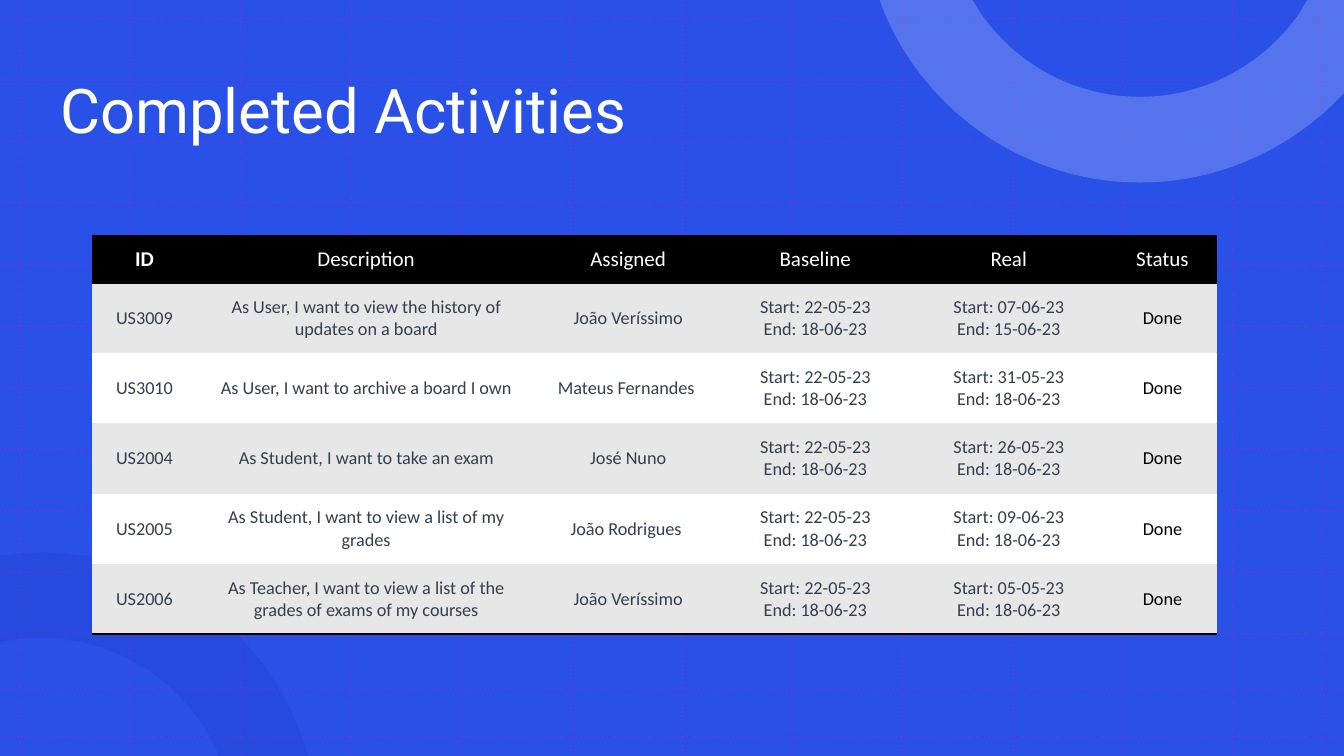
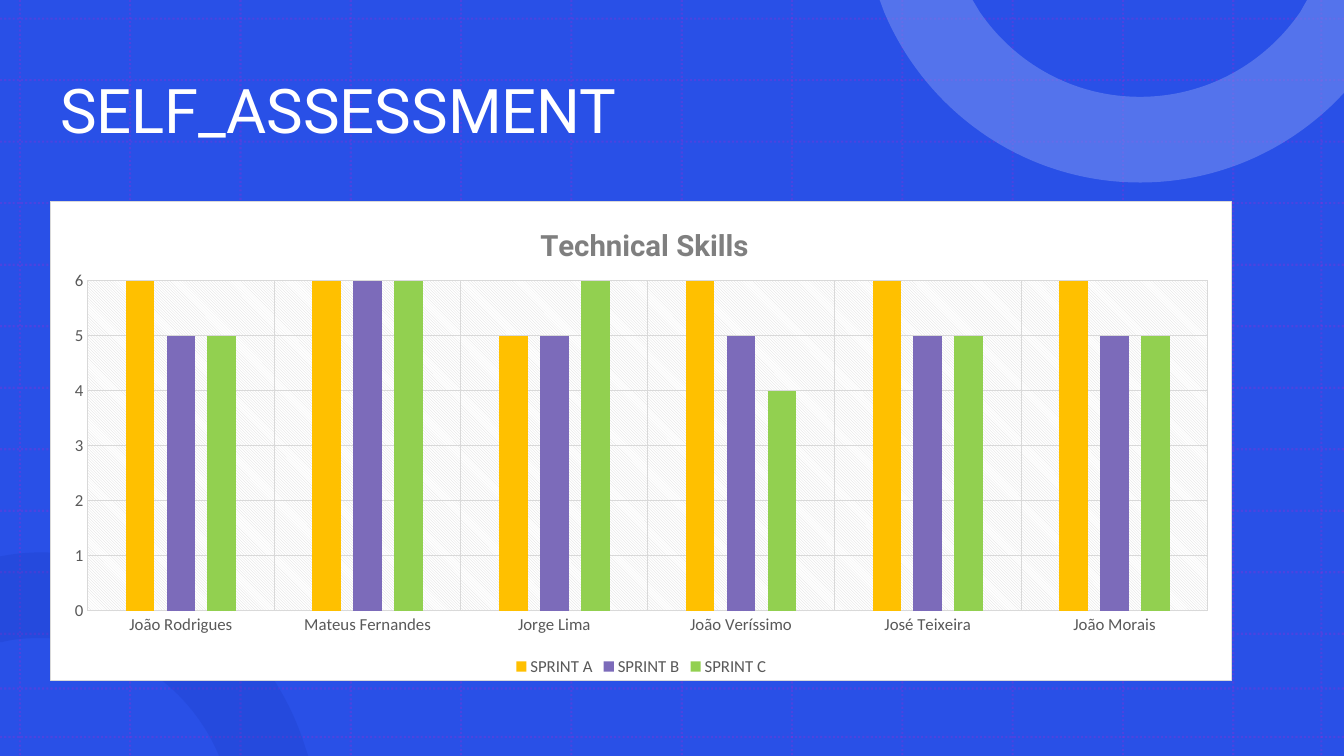
from lxml.etree import SubElement
from pptx import Presentation
from pptx.chart.data import CategoryChartData
from pptx.dml.color import RGBColor
from pptx.enum.chart import XL_CHART_TYPE as ChartType
from pptx.enum.chart import XL_LEGEND_POSITION as LegendPosition
from pptx.enum.chart import XL_TICK_MARK as TickMark
from pptx.enum.dml import MSO_LINE as Dash
from pptx.enum.shapes import MSO_CONNECTOR as Connector
from pptx.enum.shapes import MSO_SHAPE as Shape
from pptx.enum.text import MSO_ANCHOR as Anchor
from pptx.enum.text import PP_ALIGN as Align
from pptx.oxml import parse_xml
from pptx.oxml.ns import nsdecls, qn
from pptx.util import Cm, Pt

COLORS = {
    "blue": "2950E7", "grid": "D517CC", "dark ring": "1536B7", "light ring": "7F96F1",
    "white": "FFFFFF", "black": "000000", "band": "E7E7E7", "slate": "333F50",
    "chart text": "595959", "chart title": "7F7F7F", "chart line": "D9D9D9",
    "SPRINT A": "FFC000", "SPRINT B": "7C6BBA", "SPRINT C": "92D050",
}
RGB = {name: RGBColor.from_string(value) for name, value in COLORS.items()}
WIDTH, HEIGHT = 33.87, 19.05

GRID_X = [0.5 + 2.78 * i for i in range(12)] + [33.3]
GRID_Y = [0.47 + 1.55 * i for i in range(11)] + [17.35, 18.57]
GRID = [(x, 0, x, HEIGHT) for x in GRID_X] + [(0, y, WIDTH, y) for y in GRID_Y]
RINGS = [
    ("dark ring", 20, [
        (1.02, 13.92), (4.17, 13.92, 6.83, 16, 7.7, 18.85), (7.77, HEIGHT),
        (5.51, HEIGHT), (5.51, 19.02), (4.78, 17.3, 3.05, 16.08, 1.02, 16.08),
        (0.69, 16.08, 0.36, 16.1, 0.05, 16.18), (0, 16.18), (0, 14.02),
        (0.3, 13.97), (0.53, 13.94, 0.79, 13.92, 1.02, 13.92)]),
    ("light ring", 50, [
        (22.17, 0), (24.51, 0), (24.69, 0.3), (25.58, 1.6, 27.05, 2.44, 28.73, 2.44),
        (30.4, 2.44, 31.88, 1.6, 32.77, 0.3), (32.94, 0), (WIDTH, 0), (WIDTH, 2.34),
        (33.68, 2.54), (32.41, 3.81, 30.66, 4.6, 28.73, 4.6),
        (25.83, 4.6, 23.34, 2.82, 22.28, 0.3)]),
]


def paint(shape, color, opacity=100):
    shape.shadow.inherit = False
    shape.fill.solid()
    shape.fill.fore_color.rgb = RGB[color]
    shape.line.fill.background()
    if opacity < 100:
        value = shape._element.spPr.find(".//" + qn("a:srgbClr"))
        SubElement(value, qn("a:alpha")).set("val", str(opacity * 1000))


def style_font(font, size, color, name="Calibri", bold=False):
    font.size, font.name, font.bold = Pt(size), name, bold
    font.color.rgb = RGB[color]


deck = Presentation()
deck.slide_width, deck.slide_height = Cm(WIDTH), Cm(HEIGHT)
layout = deck.slide_layouts[6]
for holder in list(layout.placeholders):
    holder._element.getparent().remove(holder._element)
pages = [deck.slides.add_slide(layout) for _ in range(2)]
activities_page, assessment_page = pages

shapes = activities_page.shapes
backdrop = shapes.add_shape(Shape.RECTANGLE, 0, 0, Cm(WIDTH), Cm(HEIGHT))
paint(backdrop, "blue")

for ends in GRID:
    line = shapes.add_connector(Connector.STRAIGHT, *map(Cm, ends))
    line.line.color.rgb = RGB["grid"]
    line.line.width = Pt(1.5)
    line.line.dash_style = Dash.ROUND_DOT
    value = line._element.spPr.find(".//" + qn("a:srgbClr"))
    SubElement(value, qn("a:alpha")).set("val", "20000")
    SubElement(line._element.spPr, qn("a:effectLst"))

for color, opacity, segments in RINGS:
    points = [(Cm(x), Cm(y)) for segment in segments
              for x, y in zip(segment[::2], segment[1::2])]
    outline = shapes.build_freeform(*points[0])
    outline.add_line_segments(points[1:])
    ring = outline.convert_to_shape()
    steps = iter(list(ring._element.iter(qn("a:lnTo"))))
    for segment in segments[1:]:
        step = next(steps)
        if len(segment) == 6:
            step.tag = qn("a:cubicBezTo")
            for _ in range(2):
                control = next(steps)
                step.append(control[0])
                control.getparent().remove(control)
    paint(ring, color, opacity)

for shape in list(shapes):
    layout.shapes._spTree.append(shape._element)

for page, title in zip(pages, ["Completed Activities", "SELF_ASSESSMENT"]):
    box = page.shapes.add_textbox(Cm(1.27), Cm(1.02), Cm(29.8), Cm(3.68))
    box.text_frame.word_wrap = True
    box.text_frame.vertical_anchor = Anchor.MIDDLE
    para = box.text_frame.paragraphs[0]
    para.text = title
    para.line_spacing = 0.9
    style_font(para.font, 44, "white", "Roboto")

BASELINE = "Start: 22-05-23\nEnd: 18-06-23"
rows = [
    ("ID", "Description", "Assigned", "Baseline", "Real", "Status"),
    ("US3009", "As User, I want to view the history of updates on a board",
     "João Veríssimo", BASELINE, "Start: 07-06-23\nEnd: 15-06-23", "Done"),
    ("US3010", "As User, I want to archive a board I own",
     "Mateus Fernandes ", BASELINE, "Start: 31-05-23\nEnd: 18-06-23", "Done"),
    ("US2004", "As Student, I want to take an exam",
     "José Nuno", BASELINE, "Start: 26-05-23\nEnd: 18-06-23", "Done"),
    ("US2005", "As Student, I want to view a list of my grades",
     "João Rodrigues ", BASELINE, "Start: 09-06-23\nEnd: 18-06-23", "Done"),
    ("US2006", "As Teacher, I want to view a list of the grades of exams of my courses",
     "João Veríssimo", BASELINE, "Start: 05-05-23\nEnd: 18-06-23", "Done"),
]
column_widths = [2.64, 8.53, 4.68, 4.75, 5.0, 2.75]
last_row, last_column = len(rows) - 1, len(column_widths) - 1
table = activities_page.shapes.add_table(
    len(rows), len(column_widths), Cm(2.32), Cm(5.94), Cm(28.35), Cm(10.02)).table
table.first_row = table.horz_banding = False
NO_STYLE = "{2D5ABB26-0587-4C30-8999-92F81FD0307C}"
table._tbl.tblPr.find(qn("a:tableStyleId")).text = NO_STYLE
for column, width in zip(table.columns, column_widths):
    column.width = Cm(width)

for r, texts in enumerate(rows):
    table.rows[r].height = Cm(1.77 if r else 1.19)
    fill = "black" if r == 0 else "band" if r % 2 else "white"
    edges = ["lnB", "lnT"] if r == 0 else ["lnB"] if r == last_row else []
    for c, text in enumerate(texts):
        cell = table.cell(r, c)
        cell.text = text
        cell.vertical_anchor = Anchor.MIDDLE
        cell.fill.solid()
        cell.fill.fore_color.rgb = RGB[fill]
        for para in cell.text_frame.paragraphs:
            para.alignment = Align.CENTER
            if r == 0:
                style_font(para.font, 15, "white", bold=c == 0)
            else:
                style_font(para.font, 13, "black" if c == last_column else "slate")
        for edge in edges:
            cell._tc.tcPr.insert(0, parse_xml(
                f'<a:{edge} {nsdecls("a")} w="19050"><a:solidFill>'
                f'<a:srgbClr val="{COLORS["black"]}"/></a:solidFill></a:{edge}>'))

data = CategoryChartData()
data.categories = ["João Rodrigues", "Mateus Fernandes", "Jorge Lima",
                   "João Veríssimo", "José Teixeira", "João Morais"]
data.add_series("SPRINT A", [6, 6, 5, 6, 6, 6])
data.add_series("SPRINT B", [5, 6, 5, 5, 5, 5])
data.add_series("SPRINT C", [5, 6, 6, 4, 5, 5])
chart = assessment_page.shapes.add_chart(
    ChartType.COLUMN_CLUSTERED, Cm(1.27), Cm(5.07), Cm(29.78), Cm(12.09), data).chart
style_font(chart.font, 10, "black")
chart.has_title = True
para = chart.chart_title.text_frame.paragraphs[0]
para.text = "Technical Skills"
style_font(para.font, 21, "chart title", "Roboto", True)
chart.chart_title.include_in_layout = False

chart.has_legend = True
chart.legend.position = LegendPosition.BOTTOM
chart.legend.include_in_layout = False
style_font(chart.legend.font, 12, "chart text")

plot = chart.plots[0]
plot.gap_width, plot.overlap, plot.vary_by_categories = 267, -43, False
for series in plot.series:
    series.format.fill.solid()
    series.format.fill.fore_color.rgb = RGB[series.name]

for axis in (chart.category_axis, chart.value_axis):
    axis.major_tick_mark = axis.minor_tick_mark = TickMark.NONE
    axis.has_major_gridlines = True
    for line in (axis.format.line, axis.major_gridlines.format.line):
        line.color.rgb = RGB["chart line"]
        line.width = Pt(0.75)
    style_font(axis.tick_labels.font, 12, "chart text")
chart.value_axis.format.line.fill.background()
chart.value_axis.minimum_scale, chart.value_axis.maximum_scale = 0, 6
chart.value_axis.major_unit = 1

plot_area = chart._chartSpace.chart.plotArea
for old_layout in plot_area.findall(qn("c:layout")):
    plot_area.remove(old_layout)
plot_area.insert(0, parse_xml(
    f'<c:layout {nsdecls("c")}><c:manualLayout><c:layoutTarget val="inner"/>'
    '<c:xMode val="edge"/><c:yMode val="edge"/><c:x val="0.031"/><c:y val="0.165"/>'
    '<c:w val="0.949"/><c:h val="0.69"/></c:manualLayout></c:layout>'))
plot_area.append(parse_xml(
    f'<c:spPr {nsdecls("c", "a")}><a:pattFill prst="ltDnDiag">'
    f'<a:fgClr><a:srgbClr val="{COLORS["chart line"]}"/></a:fgClr>'
    f'<a:bgClr><a:srgbClr val="{COLORS["white"]}"/></a:bgClr></a:pattFill></c:spPr>'))
chart._chartSpace.chart.addnext(parse_xml(
    f'<c:spPr {nsdecls("c", "a")}>'
    f'<a:solidFill><a:srgbClr val="{COLORS["white"]}"/></a:solidFill>'
    f'<a:ln w="9525"><a:solidFill><a:srgbClr val="{COLORS["chart line"]}"/>'
    '</a:solidFill></a:ln></c:spPr>'))
title_element = chart.chart_title._element
for old_layout in title_element.findall(qn("c:layout")):
    title_element.remove(old_layout)
title_element.find(qn("c:tx")).addnext(parse_xml(
    f'<c:layout {nsdecls("c")}><c:manualLayout><c:xMode val="edge"/>'
    '<c:yMode val="edge"/><c:x val="0.41"/><c:y val="0.04"/>'
    '</c:manualLayout></c:layout>'))

deck.save("out.pptx")
